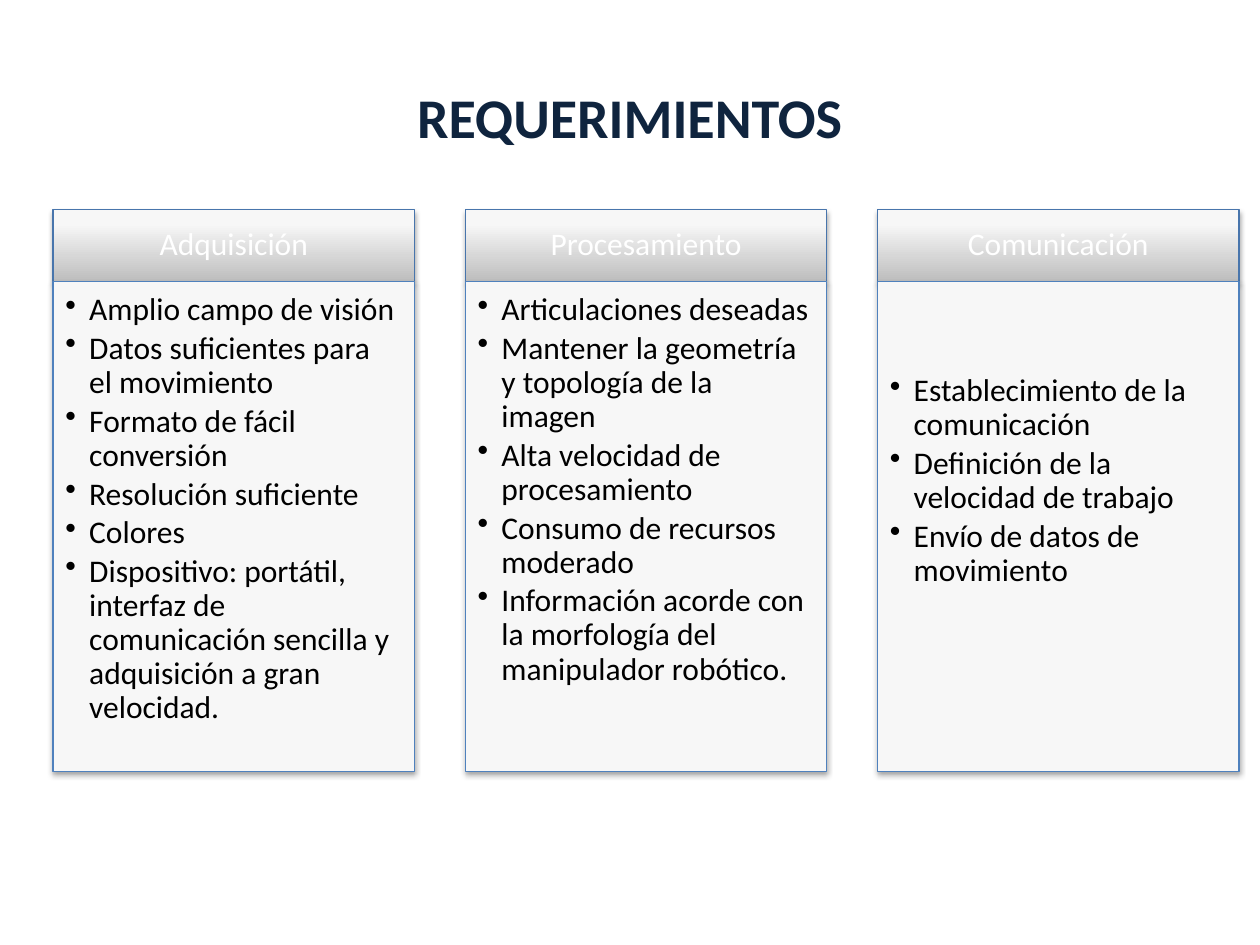
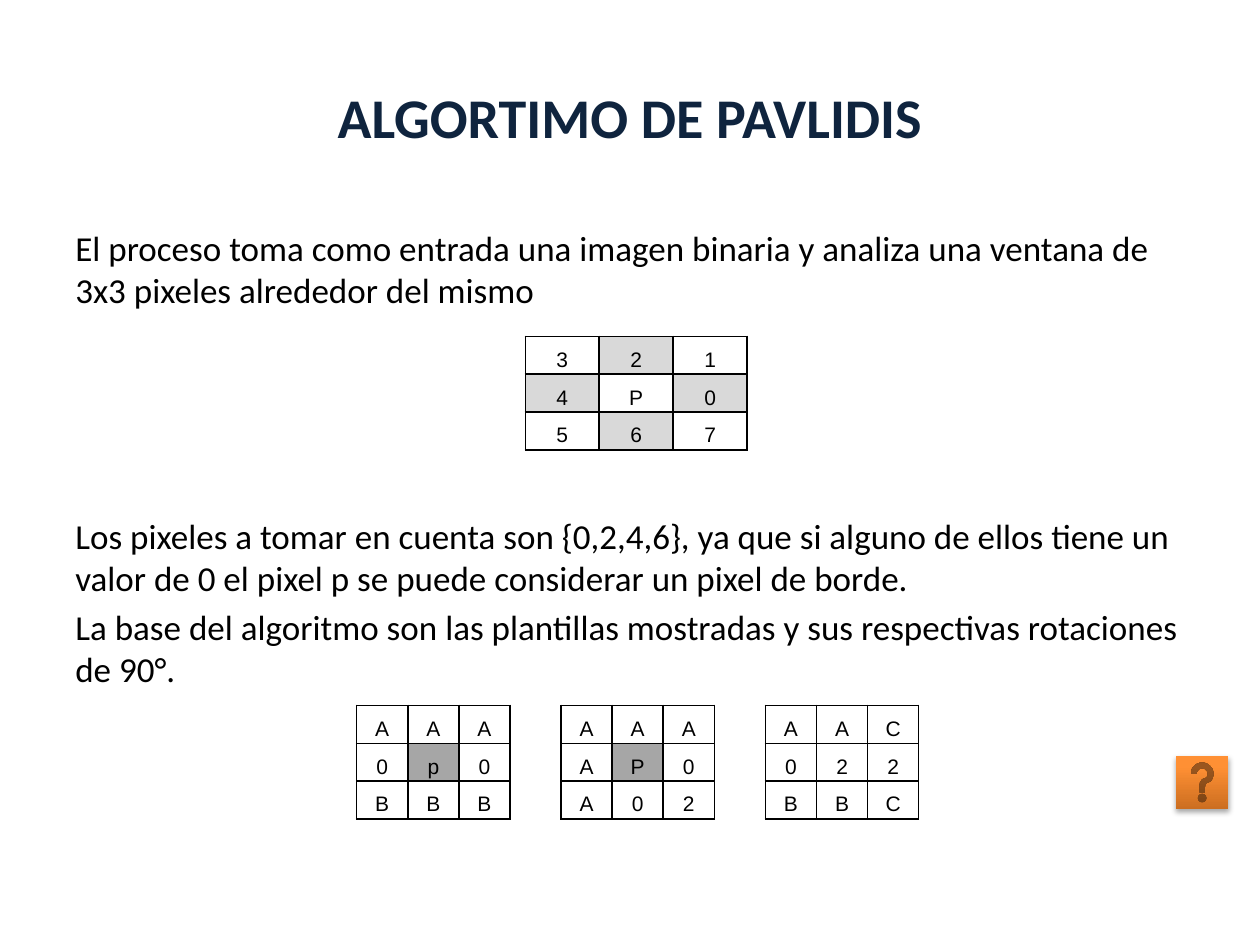
from lxml import etree
from pptx import Presentation
from pptx.dml.color import RGBColor
from pptx.enum.shapes import MSO_SHAPE as Preset
from pptx.enum.text import MSO_ANCHOR as Anchor, PP_ALIGN as Align
from pptx.oxml.ns import qn
from pptx.util import Cm, Pt

REQUIREMENTS = [
    ("Adquisición", [
        "Amplio campo de visión",
        "Datos suficientes para el movimiento",
        "Formato de fácil conversión",
        "Resolución suficiente",
        "Colores",
        "Dispositivo: portátil, interfaz de comunicación sencilla y adquisición a gran velocidad.",
    ]),
    ("Procesamiento", [
        "Articulaciones deseadas",
        "Mantener la geometría y topología de la imagen",
        "Alta velocidad de procesamiento",
        "Consumo de recursos moderado",
        "Información acorde con la morfología del manipulador robótico.",
    ]),
    ("Comunicación", [
        "Establecimiento de la comunicación",
        "Definición de la velocidad de trabajo",
        "Envío de datos de movimiento",
    ]),
]
FIRST_ITEM_DROP = {"Comunicación": 1.63}

INTRO = ["El proceso toma como entrada una imagen binaria y analiza una ventana de "
         "3x3 pixeles alrededor del mismo"]
RULES = [
    "Los pixeles a tomar en cuenta son {0,2,4,6}, ya que si alguno de ellos tiene un "
    "valor de 0 el pixel p se puede considerar un pixel de borde.",
    "La base del algoritmo son las plantillas mostradas y sus respectivas rotaciones de 90°.",
]
# One character per cell; a space is an open gap between templates.
NEIGHBOURS = ["321", "4P0", "567"]
NEIGHBOUR_FILLS = dict.fromkeys([(0, 1), (1, 0), (1, 2), (2, 1)], "D9D9D9")
TEMPLATES = ["AAA AAA AAC", "0p0 AP0 022", "BBB A02 BBC"]
TEMPLATE_FILLS = {(1, 1): "A6A6A6", (1, 5): "A6A6A6", (1, 9): "FFFFFF"}

NAVY, BLACK, WHITE = "0F243E", "000000", "FFFFFF"
HEADER_LINE, PANEL_LINE, PANEL = "4875AC", "4F81BD", "F7F7F7"
SILVER, ORANGE = ("BEBEBE", "F7F7F7"), ("CC6E20", "FF9034")

COLUMN_LEFT, COLUMN_TOP, COLUMN_WIDTH, COLUMN_STEP = 1.07, 4.22, 7.29, 8.31
HEADER_HEIGHT, PANEL_HEIGHT = 1.45, 9.88
ROW_HEIGHT = 0.71


def rgb(hex_color):
    return RGBColor.from_string(hex_color)


def style(para, size, color, font="Calibri", bold=False):
    for span in para.runs:
        span.font.name, span.font.size, span.font.bold = font, Pt(size), bold
        span.font.color.rgb = rgb(color)


def set_margins(target, left, top, right, bottom):
    target.margin_left, target.margin_top = Cm(left), Cm(top)
    target.margin_right, target.margin_bottom = Cm(right), Cm(bottom)


def add_text(page, lines, left, top, width, height, size, color, bold=False,
             align=Align.LEFT, anchor=Anchor.TOP):
    box = page.shapes.add_textbox(Cm(left), Cm(top), Cm(width), Cm(height))
    frame = box.text_frame
    frame.word_wrap, frame.vertical_anchor = True, anchor
    frame.text = "\n".join(lines)
    for index, para in enumerate(frame.paragraphs):
        para.alignment = align
        para.space_before = Pt(4 if index else 0)
        style(para, size, color, bold=bold)


def add_page(deck, title):
    page = deck.slides.add_slide(deck.slide_layouts[6])
    add_text(page, [title], 1.27, 0.76, 22.86, 3.18, 32, NAVY, True,
             Align.CENTER, Anchor.MIDDLE)
    return page


def add_raised(page, preset, left, top, width, height, fill, line=None):
    """Shape with a soft shadow; a pair of fills runs from bottom to top."""
    shape = page.shapes.add_shape(preset, Cm(left), Cm(top), Cm(width), Cm(height))
    if isinstance(fill, tuple):
        shape.fill.gradient()
        shape.fill.gradient_angle = 90
        for stop, color, position in zip(shape.fill.gradient_stops, fill, (0, 0.8)):
            stop.color.rgb, stop.position = rgb(color), position
    else:
        shape.fill.solid()
        shape.fill.fore_color.rgb = rgb(fill)
    if line:
        shape.line.color.rgb, shape.line.width = rgb(line), Pt(0.75)
    else:
        shape.line.fill.background()
    shape.shadow.inherit = False
    effects = shape._element.spPr.find(qn("a:effectLst"))
    shadow = etree.SubElement(effects, qn("a:outerShdw"), blurRad="40000",
                              dist="23000", dir="5400000", rotWithShape="0")
    tint = etree.SubElement(shadow, qn("a:srgbClr"), val=BLACK)
    etree.SubElement(tint, qn("a:alpha"), val="35000")
    return shape


def add_bullet(para):
    props = para._p.get_or_add_pPr()
    props.set("marL", str(Cm(0.48)))
    props.set("indent", str(-Cm(0.48)))
    etree.SubElement(props, qn("a:buChar"), char="•")


def add_requirement(page, left, heading, items):
    header = add_raised(page, Preset.RECTANGLE, left, COLUMN_TOP, COLUMN_WIDTH,
                        HEADER_HEIGHT, SILVER, HEADER_LINE)
    frame = header.text_frame
    set_margins(frame, 0.36, 0.2, 0.36, 0.2)
    frame.vertical_anchor = Anchor.MIDDLE
    frame.text = heading
    para = frame.paragraphs[0]
    para.alignment, para.line_spacing = Align.CENTER, 0.9
    style(para, 18, WHITE)

    panel = add_raised(page, Preset.RECTANGLE, left, COLUMN_TOP + HEADER_HEIGHT,
                       COLUMN_WIDTH, PANEL_HEIGHT, PANEL, PANEL_LINE)
    frame = panel.text_frame
    set_margins(frame, 0.25, 0.25 + FIRST_ITEM_DROP.get(heading, 0), 0.36, 0.41)
    frame.vertical_anchor = Anchor.TOP
    frame.text = "\n".join(items)
    for para in frame.paragraphs:
        add_bullet(para)
        para.alignment, para.line_spacing, para.space_after = Align.LEFT, 0.9, Pt(2.7)
        style(para, 18, BLACK)


def set_borders(cell, sides):
    """Draw the given sides in black and leave the others open."""
    props = cell._tc.get_or_add_tcPr()
    for index, side in enumerate("LRTB"):
        line = etree.Element(qn("a:ln" + side), w=str(Pt(1)))
        if side in sides:
            fill = etree.SubElement(line, qn("a:solidFill"))
            etree.SubElement(fill, qn("a:srgbClr"), val=BLACK)
        else:
            etree.SubElement(line, qn("a:noFill"))
        props.insert(index, line)


def add_pixel_grid(page, rows, fills, left, top, column_width):
    count = len(rows[0])
    grid = page.shapes.add_table(len(rows), count, Cm(left), Cm(top),
                                 Cm(column_width * count), Cm(ROW_HEIGHT * len(rows))).table
    grid.first_row = grid.horz_banding = False
    for column in grid.columns:
        column.width = Cm(column_width)
    for r, row in enumerate(rows):
        grid.rows[r].height = Cm(ROW_HEIGHT)
        for c, mark in enumerate(row):
            cell = grid.cell(r, c)
            set_margins(cell, 0.18, 0, 0.18, 0)
            if (r, c) in fills:
                cell.fill.solid()
                cell.fill.fore_color.rgb = rgb(fills[r, c])
            else:
                cell.fill.background()
            set_borders(cell, "LR" if mark == " " else "LRTB")
            cell.text = mark.strip()
            para = cell.text_frame.paragraphs[0]
            para.alignment, para.line_spacing = Align.CENTER, 1.5
            style(para, 12, BLACK, "Arial")
            if mark == " ":
                etree.SubElement(para._p, qn("a:endParaRPr"), sz="1200")


def main():
    deck = Presentation()
    deck.slide_width, deck.slide_height = Cm(25.4), Cm(19.05)

    page = add_page(deck, "REQUERIMIENTOS")
    for index, (heading, items) in enumerate(REQUIREMENTS):
        add_requirement(page, COLUMN_LEFT + index * COLUMN_STEP, heading, items)

    page = add_page(deck, "ALGORTIMO DE PAVLIDIS")
    add_text(page, INTRO, 1.27, 4.45, 22.86, 2, 20, BLACK)
    add_text(page, RULES, 1.27, 10.24, 22.86, 3.8, 20, BLACK)
    add_pixel_grid(page, NEIGHBOURS, NEIGHBOUR_FILLS, 10.59, 6.78, 1.49)
    add_pixel_grid(page, TEMPLATES, TEMPLATE_FILLS, 7.19, 14.22, 1.03)
    add_raised(page, Preset.ACTION_BUTTON_HELP, 23.7, 15.24, 1.07, 1.07, ORANGE)

    deck.save("out.pptx")


if __name__ == "__main__":
    main()
